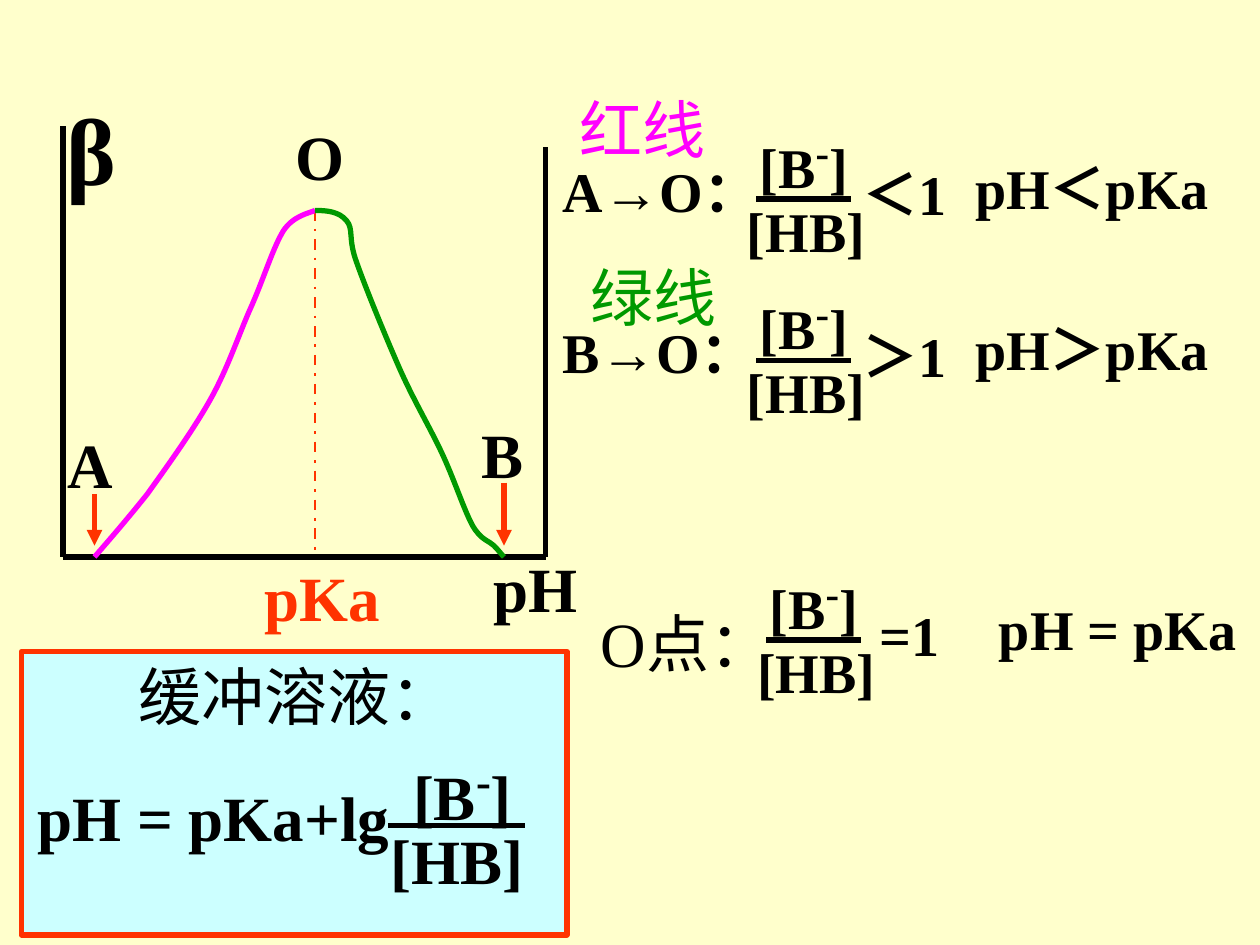
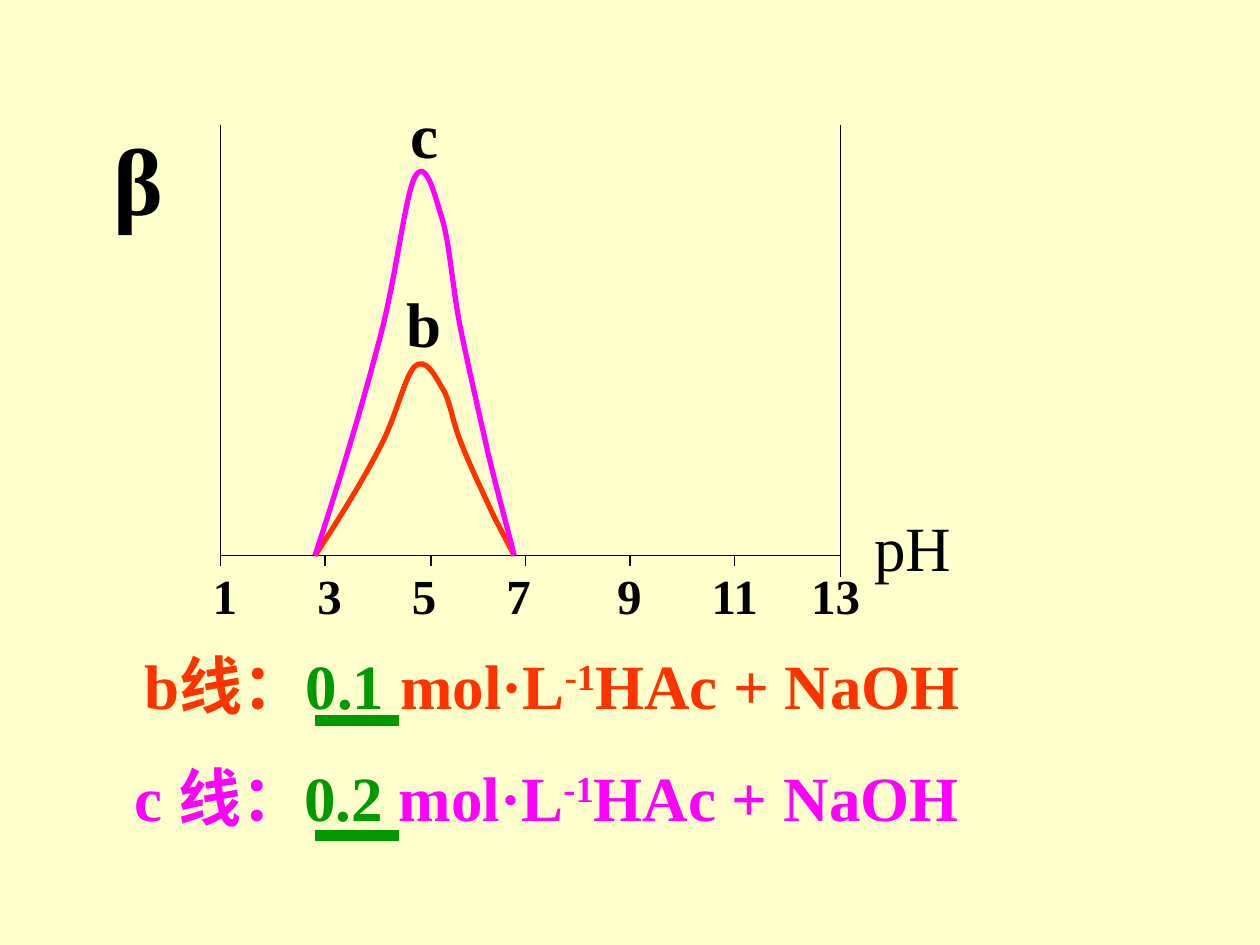
from pptx import Presentation
from pptx.dml.color import RGBColor
from pptx.enum.dml import MSO_LINE
from pptx.enum.shapes import MSO_CONNECTOR, MSO_SHAPE
from pptx.enum.text import MSO_AUTO_SIZE
from pptx.oxml.ns import qn
from pptx.oxml.xmlchemy import OxmlElement
from pptx.util import Pt

PX = 9144  # EMU per px, 100 px to the inch
SLACK = 4  # spare width that keeps a label on one line
FONT = "Times New Roman"
CREAM = RGBColor(0xFF, 0xFF, 0xCC)
CYAN = RGBColor(0xCC, 0xFF, 0xFF)
BLACK = RGBColor(0, 0, 0)
RED = RGBColor(0xFF, 0x33, 0x00)
PINK = RGBColor(0xFF, 0x00, 0xFF)
GREEN = RGBColor(0x00, 0x99, 0x00)
RECT = MSO_SHAPE.RECTANGLE
STRAIGHT = MSO_CONNECTOR.STRAIGHT
DASH_DOT = MSO_LINE.DASH_DOT
FIT = MSO_AUTO_SIZE.SHAPE_TO_FIT_TEXT

# Fraction layout by text size: bar width, then numerator and
# denominator boxes measured from the left end of the bar
FRACS = {
    32: (75, (-7, -69, 90, 77), (-17, -7, 114, 64)),
    36: (109, (10, -70, 98, 84), (-8, -8, 125, 70)),
}


def emu(*lengths):
    return [n * PX for n in lengths]


def style(run, size, color, bold, raised=False):
    font = run.font
    font.name, font.size, font.bold = FONT, Pt(size), bold
    font.color.rgb = color
    if raised:
        run._r.get_or_add_rPr().set("baseline", "30000")


def label(slide, box, words, size=36, color=BLACK, bold=True, wrap=False):
    x, y, width, height = box
    place = emu(x, y, width + SLACK, height)
    frame = slide.shapes.add_textbox(*place).text_frame
    frame.word_wrap = wrap
    frame.auto_size = FIT
    frame.text = words
    para = frame.paragraphs[0]
    style(para.runs[0], size, color, bold)
    return para


def extend(para, words, size=36, color=BLACK, raised=False):
    run = para.add_run()
    run.text = words
    style(run, size, color, True, raised)


def line(slide, start, end, color=BLACK, width=3.0, dash=None, arrow=False):
    link = slide.shapes.add_connector(STRAIGHT, *emu(*start, *end))
    link.line.color.rgb = color
    link.line.width = Pt(width)
    if dash:
        link.line.dash_style = dash
    if arrow:
        tail = OxmlElement("a:tailEnd")
        tail.set("type", "triangle")
        link.line._get_or_add_ln().append(tail)
    link._element.spPr.append(OxmlElement("a:effectLst"))


def curve(slide, start, points, color):
    """Draw a Bezier curve; every three points make one segment."""
    pen = slide.shapes.build_freeform(*start, scale=PX)
    pen.add_line_segments(points, close=False)
    shape = pen.convert_to_shape()
    shape.shadow.inherit = False
    shape.fill.background()
    shape.line.color.rgb = color
    shape.line.width = Pt(3)
    steps = list(shape._element.iter(qn("a:lnTo")))
    for i in range(0, len(steps), 3):
        bend = OxmlElement("a:cubicBezTo")
        steps[i].addprevious(bend)
        for step in steps[i:i + 3]:
            bend.append(step[0])
            step.getparent().remove(step)


def ratio(slide, x, y, size=32):
    """Write [B-] over [HB] with the bar starting at x, y."""
    width, top, low = FRACS[size]
    para = label(slide, (x + top[0], y + top[1], *top[2:]), "[B", size)
    extend(para, "-", size + 8, raised=True)
    extend(para, "]", size)
    line(slide, (x, y), (x + width, y))
    label(slide, (x + low[0], y + low[1], *low[2:]), "[HB]", size)


def case(slide, y, end, sign):
    """Compare the ratio with 1 on one side of the peak."""
    label(slide, (437, y - 39, 186, 64), f"{end}→O：", 32)
    ratio(slide, 600, y)
    label(slide, (675, y - 36, 97, 64), f"{sign}1", 32)
    label(slide, (764, y - 41, 227, 64), f"pH{sign}pKa", 32)


def legend(slide, box, name, amount, color):
    para = label(slide, box, name, color=color)
    extend(para, amount, color=GREEN)
    extend(para, " mol·L", color=color)
    extend(para, "-1", color=color, raised=True)
    extend(para, "HAc + NaOH", color=color)


def draw_peak(slide):
    # Formula panel
    panel = slide.shapes.add_shape(RECT, *emu(17, 517, 433, 225))
    panel.shadow.inherit = False
    panel.fill.solid()
    panel.fill.fore_color.rgb = CYAN
    panel.line.color.rgb = RED
    panel.line.width = Pt(3)
    label(slide, (100, 517, 270, 70), "缓冲溶液：", bold=False)
    label(slide, (20, 613, 299, 70), "pH = pKa+lg")
    ratio(slide, 308, 655, 36)

    # Axes and marks
    line(slide, (50, 100), (50, 442))
    line(slide, (50, 442), (433, 442))
    line(slide, (433, 117), (433, 442))
    line(slide, (250, 167), (250, 442), RED, 1.5, DASH_DOT)
    line(slide, (75, 392), (75, 433), RED, arrow=True)
    line(slide, (400, 383), (400, 433), RED, arrow=True)
    label(slide, (43, 67, 59, 100), "β", 54)
    label(slide, (200, 438, 111, 70), "pKa", color=RED)
    label(slide, (225, 88, 59, 70), "O")
    label(slide, (44, 333, 56, 70), "A")
    label(slide, (372, 325, 53, 70), "B")
    label(slide, (382, 431, 86, 70), "pH")

    # Two halves of the curve
    curve(slide, (75, 442), [
        (88, 427), (101, 412), (117, 392), (132, 371), (153, 342), (167, 317),
        (181, 292), (190, 264), (200, 242), (210, 219), (217, 196), (225, 183),
        (233, 171), (246, 169), (250, 167)], PINK)
    curve(slide, (400, 442), [
        (398, 440), (396, 437), (392, 433), (388, 429), (382, 429), (375, 417),
        (368, 404), (360, 379), (350, 358), (340, 337), (328, 317), (317, 292),
        (306, 267), (290, 228), (283, 208), (276, 189), (281, 182), (275, 175),
        (269, 168), (260, 167), (250, 167)], GREEN)

    # Cases beside the curve
    case(slide, 158, "A", "＜")
    case(slide, 286, "B", "＞")
    label(slide, (450, 67, 120, 70), "红线", color=PINK, bold=False)
    label(slide, (459, 200, 120, 70), "绿线", color=GREEN, bold=False)
    label(slide, (467, 475, 175, 70), "O点：", bold=False, wrap=True)
    ratio(slide, 608, 508)
    label(slide, (688, 472, 67, 64), "=1", 32)
    label(slide, (783, 467, 208, 64), "pH = pKa", 32)


def draw_doses(slide):
    # Axes
    line(slide, (175, 99), (175, 441), width=0.75)
    line(slide, (175, 441), (667, 441), width=0.75)
    line(slide, (667, 99), (667, 458), width=0.75)
    label(slide, (80, 91, 59, 100), "β", 54)
    label(slide, (684, 399, 81, 70), "pH", bold=False)

    # Ticks: value, tick place, left of its number
    ticks = [(1, 175, 159), (3, 258, 242), (5, 342, 317), (7, 417, 392),
             (9, 500, 480), (11, 583, 555), (13, 667, 634)]
    for value, x, left in ticks:
        line(slide, (x, 441), (x, 449), width=0.75)
        width = 39 if value < 10 else 59
        label(slide, (left, 444, width, 57), str(value), 28)

    # Curves b and c
    curve(slide, (250, 441), [
        (269, 412), (287, 383), (300, 358), (314, 333), (321, 299), (329, 291),
        (338, 283), (345, 298), (351, 308), (357, 317), (359, 334), (365, 349),
        (371, 365), (380, 384), (387, 399), (394, 415), (405, 434),
        (408, 441)], RED)
    curve(slide, (250, 441), [
        (269, 383), (287, 324), (300, 274), (314, 224), (321, 158), (329, 141),
        (338, 124), (345, 155), (351, 174), (357, 194), (359, 227), (365, 258),
        (371, 288), (380, 327), (387, 358), (394, 388), (405, 427),
        (408, 441)], PINK)
    label(slide, (313, 221, 48, 70), "b")
    label(slide, (316, 71, 42, 70), "c")

    # Legend with underlined amounts
    legend(slide, (105, 508, 691, 70), "b线：", "0.1", RED)
    legend(slide, (97, 597, 698, 70), "c 线：", "0.2", PINK)
    for y in (572, 663):
        line(slide, (250, y), (317, y), GREEN, 6)


def main():
    prs = Presentation()
    prs.slide_width, prs.slide_height = emu(1000, 750)
    back = prs.slide_master.background.fill
    back.solid()
    back.fore_color.rgb = CREAM
    blank = prs.slide_layouts[6]
    for draw in (draw_peak, draw_doses):
        draw(prs.slides.add_slide(blank))
    prs.save("out.pptx")


if __name__ == "__main__":
    main()
